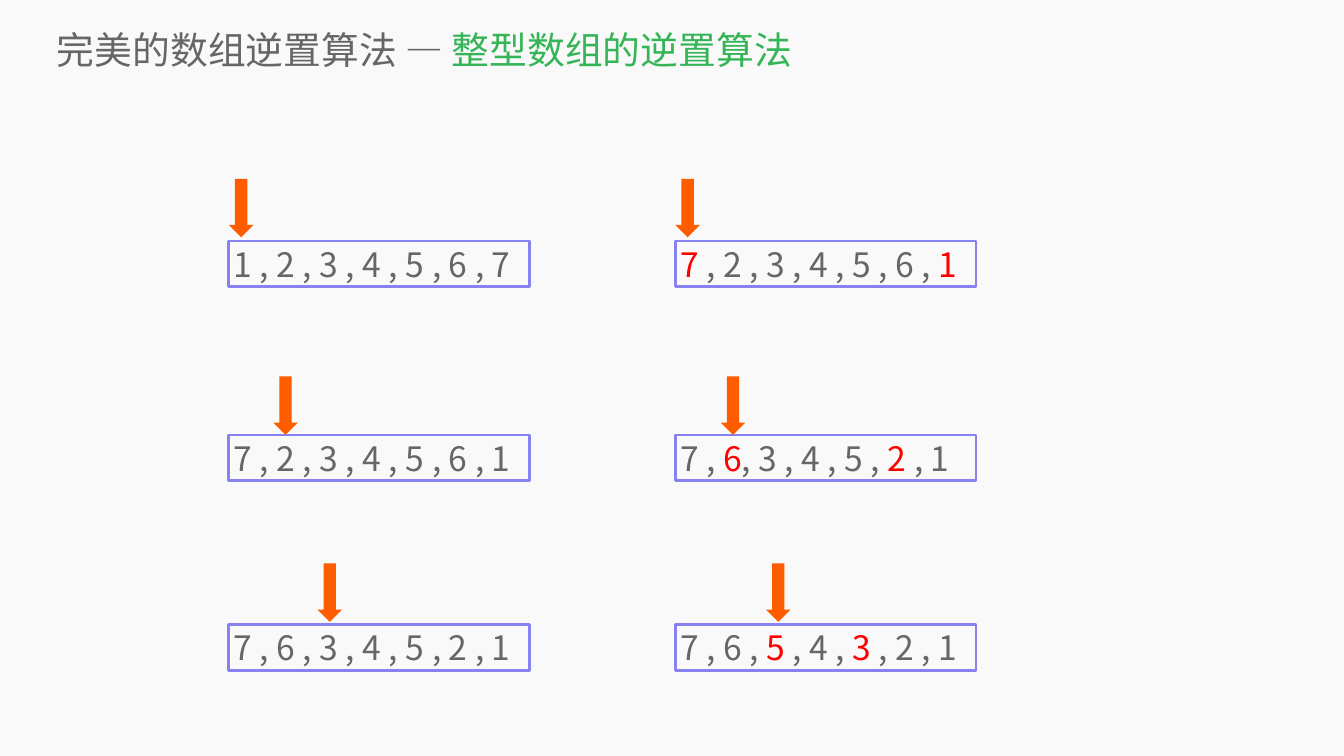
from lxml import etree
from pptx import Presentation
from pptx.dml.color import RGBColor
from pptx.enum.shapes import MSO_SHAPE
from pptx.enum.text import MSO_ANCHOR, MSO_AUTO_SIZE, PP_ALIGN
from pptx.oxml.ns import qn
from pptx.util import Inches, Pt

RECT = MSO_SHAPE.RECTANGLE
ARROW = MSO_SHAPE.DOWN_ARROW
MIDDLE = MSO_ANCHOR.MIDDLE
LEFT = PP_ALIGN.LEFT
FIXED = MSO_AUTO_SIZE.NONE

THEME = {
    "font": "Noto Sans CJK SC",
    "title": Pt(54),
    "array": Pt(48),
    "line": Pt(4),
    "back": RGBColor.from_string("F9F9F9"),
    "text": RGBColor.from_string("666666"),
    "green": RGBColor.from_string("35B558"),
    "swap": RGBColor.from_string("FF0000"),
    "frame": RGBColor.from_string("8881F0"),
    "arrow": RGBColor.from_string("FF5C00"),
}


def write(frame, marked, size, accent):
    frame.auto_size = FIXED
    frame.vertical_anchor = MIDDLE
    line = frame.paragraphs[0]
    line.alignment = LEFT
    for index, part in enumerate(marked.split("*")):
        if not part:
            continue
        run = line.add_run()
        run.text = part
        run.font.size = THEME[size]
        run.font.bold = False
        run.font.color.rgb = THEME[accent if index % 2 else "text"]
        run.font.name = THEME["font"]
        asian = etree.SubElement(run.font._element, qn("a:ea"))
        asian.set("typeface", THEME["font"])


deck = Presentation()
deck.slide_width = Inches(26.67)
deck.slide_height = Inches(15)
slide = deck.slides.add_slide(deck.slide_layouts[0])
slide.background.fill.solid()
slide.background.fill.fore_color.rgb = THEME["back"]

title, blank = slide.placeholders
blank.element.getparent().remove(blank.element)
title.left, title.top = Inches(1.13), Inches(0.47)
title.width, title.height = Inches(25.16), Inches(1.02)
frame = title.text_frame
frame.margin_left = frame.margin_right = 0
frame.margin_top = frame.margin_bottom = 0
write(frame, "完美的数组逆置算法 — *整型数组的逆置算法*", "title", "green")

rows = [
    (3.55, 4.78, "1 , 2 , 3 , 4 , 5 , 6 , 7", "*7* , 2 , 3 , 4 , 5 , 6 , *1*"),
    (7.47, 8.63, "7 , 2 , 3 , 4 , 5 , 6 , 1", "7 , *6*, 3 , 4 , 5 , *2* , 1"),
    (11.18, 12.39, "7 , 6 , 3 , 4 , 5 , 2 , 1", "7 , 6 , *5* , 4 , *3* , 2 , 1"),
]
columns = [(4.54, 0.88), (13.4, 0.9)]

for step, (tip, top, *arrays) in enumerate(rows):
    for (left, gap), array in zip(columns, arrays):
        group = slide.shapes.add_group_shape()
        box = group.shapes.add_shape(
            RECT, Inches(left), Inches(top), Inches(5.97), Inches(0.91))
        box.shadow.inherit = False
        box.fill.background()
        box.line.color.rgb = THEME["frame"]
        box.line.width = THEME["line"]
        write(box.text_frame, array, "array", "swap")

        arrow = group.shapes.add_shape(
            ARROW, Inches(left + step * gap), Inches(tip), Inches(0.49), Inches(1.16))
        arrow.shadow.inherit = False
        arrow.fill.solid()
        arrow.fill.fore_color.rgb = THEME["arrow"]
        arrow.line.fill.background()

deck.save("out.pptx")
